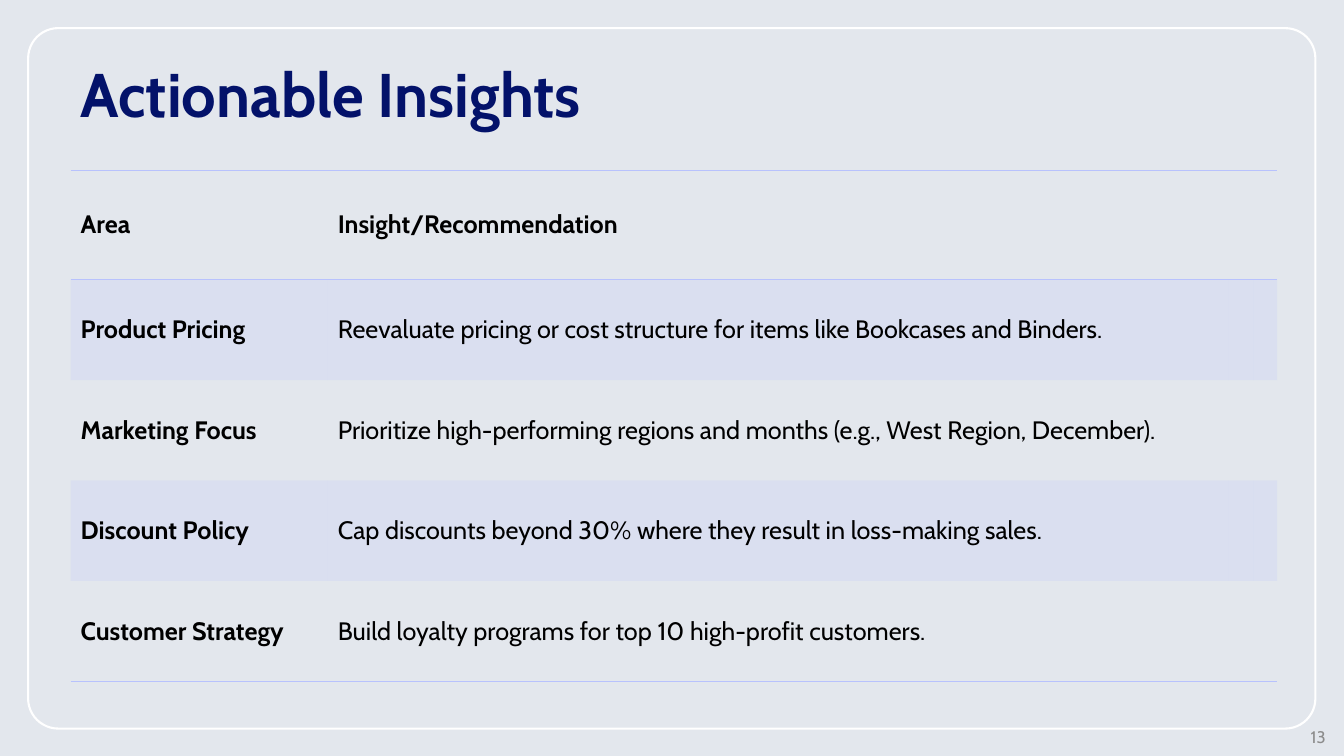
from dataclasses import dataclass

from lxml import etree
from pptx import Presentation
from pptx import util as u
from pptx.dml import color
from pptx.enum import shapes, text
from pptx.oxml import ns


@dataclass(frozen=True)
class Theme:
    font: str = "Cabin"
    background: str = "E3E7ED"
    frame: str = "FFFFFF"
    title: str = "03126A"
    body: str = "000000"
    accent: str = "B8C2FD"
    number: str = "8C8C8C"
    title_size: int = 44
    body_size: int = 18
    number_size: int = 12


theme = Theme()
rgb = color.RGBColor.from_string


def write(frame, words, size=theme.body_size, ink=theme.body, bold=False,
          align=text.PP_ALIGN.LEFT, anchor=text.MSO_ANCHOR.MIDDLE, spacing=1.0):
    frame.word_wrap = True
    frame.vertical_anchor = anchor
    para = frame.paragraphs[0]
    para.alignment = align
    para.line_spacing = spacing
    span = para.add_run()
    span.text = words
    span.font.name = theme.font
    span.font.size = u.Pt(size)
    span.font.bold = bold
    span.font.color.rgb = rgb(ink)


def add_border(cell, side):
    line = etree.SubElement(cell._tc.get_or_add_tcPr(), ns.qn(f"a:{side}"), w=str(u.Pt(1)))
    fill = etree.SubElement(line, ns.qn("a:solidFill"))
    etree.SubElement(fill, ns.qn("a:srgbClr"), val=theme.accent)


deck = Presentation()
deck.slide_width, deck.slide_height = u.Cm(33.87), u.Cm(19.05)
page = deck.slides.add_slide(deck.slide_layouts[6])
page.background.fill.solid()
page.background.fill.fore_color.rgb = rgb(theme.background)

# Rounded frame
frame = page.shapes.add_shape(shapes.MSO_SHAPE.ROUNDED_RECTANGLE,
                              u.Cm(0.71), u.Cm(0.71), u.Cm(32.44), u.Cm(17.65))
frame.adjustments[0] = 0.043
frame.shadow.inherit = False
frame.fill.background()
frame.line.color.rgb = rgb(theme.frame)
frame.line.width = u.Pt(1.5)

# Title
box = page.shapes.add_textbox(u.Cm(1.78), u.Cm(1.02), u.Cm(29.77), u.Cm(2.39))
write(box.text_frame, "Actionable Insights", size=theme.title_size, ink=theme.title,
      bold=True, anchor=text.MSO_ANCHOR.BOTTOM, spacing=0.9)

# Insights table, with two narrow empty columns at the right
insights = [
    ("Area", "Insight/Recommendation"),
    ("Product Pricing",
     "Reevaluate pricing or cost structure for items like Bookcases and Binders."),
    ("Marketing Focus",
     "Prioritize high-performing regions and months (e.g., West Region, December)."),
    ("Discount Policy",
     "Cap discounts beyond 30% where they result in loss-making sales."),
    ("Customer Strategy",
     "Build loyalty programs for top 10 high-profit customers."),
]
widths = [6.48, 22.71, 0.58, 0.58]
heights = [2.76] + [2.53] * 4
table = page.shapes.add_table(len(heights), len(widths), u.Cm(1.78), u.Cm(4.29),
                              u.Cm(sum(widths)), u.Cm(sum(heights))).table
plain_style = "{2D5ABB26-0587-4C30-8999-92F81FD0307C}"
table._tbl.tblPr.find(ns.qn("a:tableStyleId")).text = plain_style
table.horz_banding = False
for column, width in zip(table.columns, widths):
    column.width = u.Cm(width)
for row, height in zip(table.rows, heights):
    row.height = u.Cm(height)

last = len(insights) - 1
for r, words in enumerate(insights):
    for c in range(len(widths)):
        cell = table.cell(r, c)
        if c < len(words):
            write(cell.text_frame, words[c], bold=r == 0 or c == 0)
            cell.vertical_anchor = text.MSO_ANCHOR.MIDDLE
        if r == 0:
            add_border(cell, "lnT")
        if r in (0, last):
            add_border(cell, "lnB")
        # Shade every second row at 20% opacity
        if r % 2:
            cell.fill.solid()
            cell.fill.fore_color.rgb = rgb(theme.accent)
            shade = cell._tc.tcPr.find(ns.qn("a:solidFill")).find(ns.qn("a:srgbClr"))
            etree.SubElement(shade, ns.qn("a:alpha"), val="20000")
        else:
            cell.fill.background()

# Page number
box = page.shapes.add_textbox(u.Cm(26.04), u.Cm(18.24), u.Cm(7.62), u.Cm(0.64))
write(box.text_frame, "13", size=theme.number_size, ink=theme.number,
      align=text.PP_ALIGN.RIGHT)

deck.save("out.pptx")
